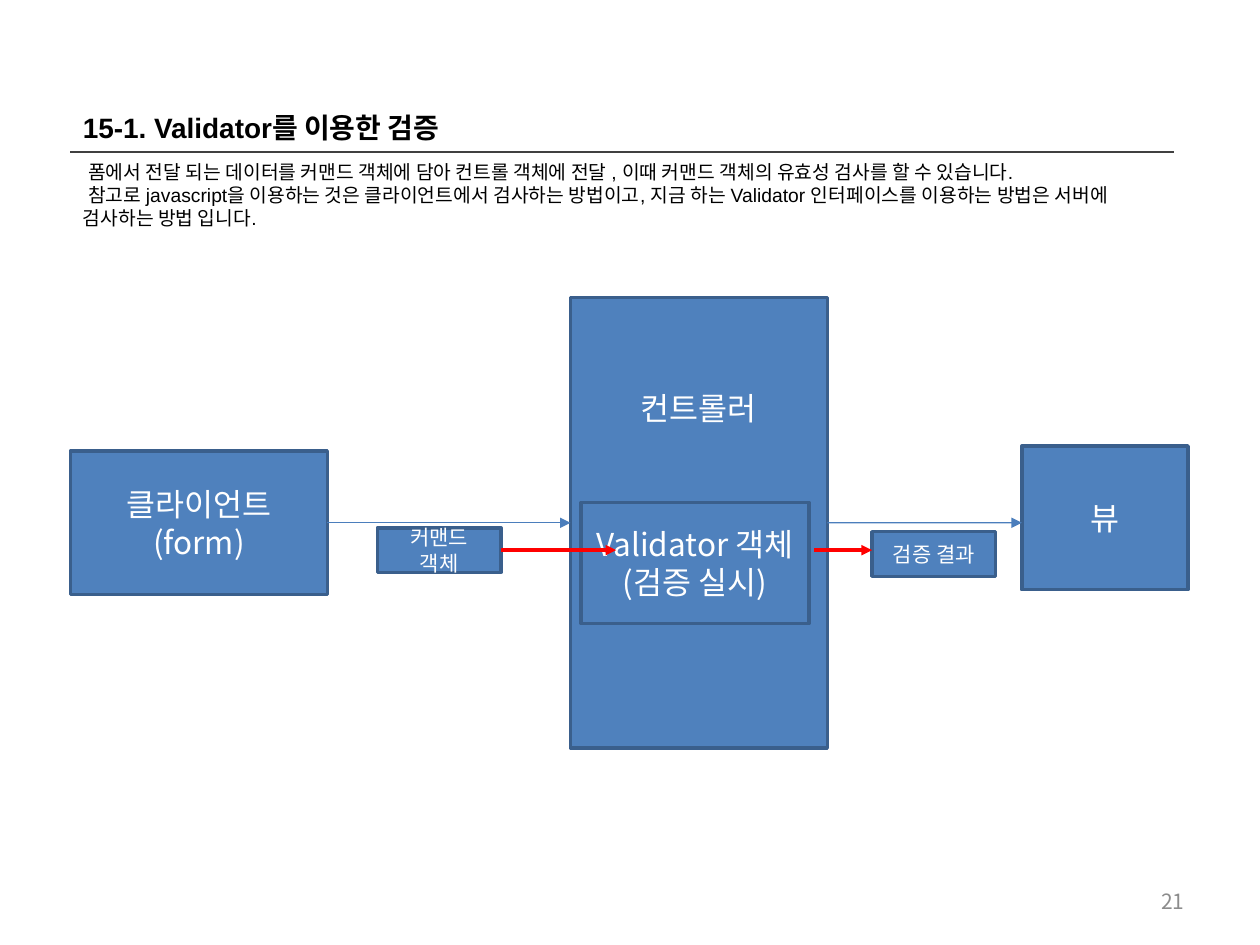
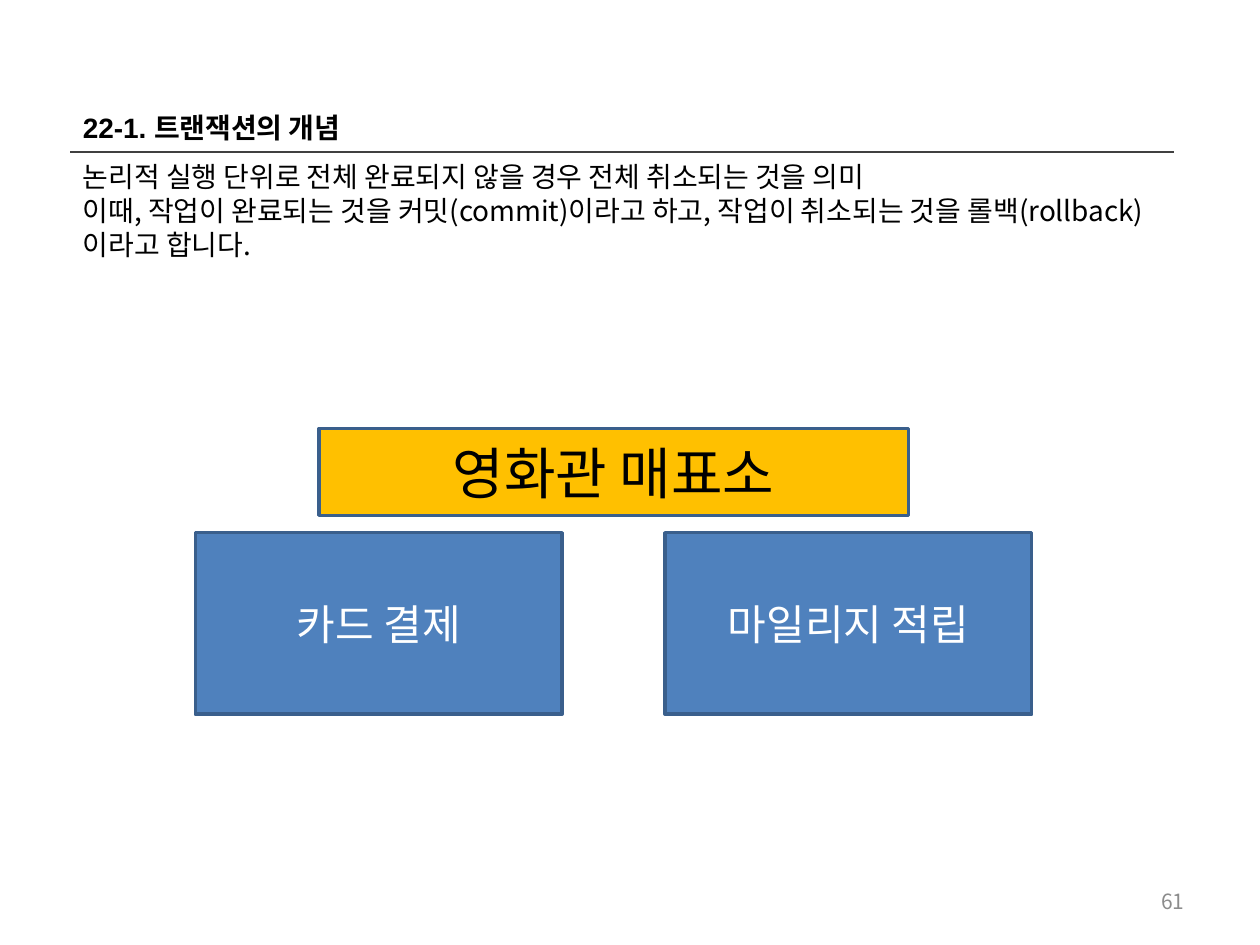
from lxml.etree import SubElement
from pptx import Presentation
from pptx.dml.color import RGBColor
from pptx.enum.shapes import MSO_CONNECTOR as CONN, MSO_SHAPE as SHAPE
from pptx.enum.text import MSO_ANCHOR as ANCHOR, PP_ALIGN as ALIGN
from pptx.oxml.ns import qn
from pptx.util import Cm, Pt

COLORS = {"text": "000000", "white": "FFFFFF", "number": "8C8C8C", "rule": "404040",
          "blue": "4F81BD", "border": "3A5F8C", "arrow": "4B7EBC",
          "red": "FF0000", "amber": "FFC000"}
KOREAN, LATIN = "Noto Sans CJK KR", "Arial"
LEFT, WIDTH = 1.42, 22.24
TOP, BOTTOM, MIDDLE_LEFT, MIDDLE_RIGHT = 0, 2, 1, 3


def rgb(name):
    """Return a palette colour."""
    return RGBColor.from_string(COLORS[name])


def write(sp, text, size, color="text", font=KOREAN, bold=False, align=ALIGN.LEFT, indent=0):
    """Fill a shape with evenly formatted paragraphs."""
    tf = sp.text_frame
    tf.word_wrap = True
    tf.text = text
    for p in tf.paragraphs:
        p.alignment = align
        if indent:
            p._p.get_or_add_pPr().set("indent", str(Cm(indent)))
        for r in p.runs:
            r.font.name, r.font.size, r.font.bold = font, Pt(size), bold
            r.font.color.rgb = rgb(color)
            SubElement(r._r.rPr, qn("a:ea")).set("typeface", KOREAN)
    return tf


def add_text(slide, box, text, size, **style):
    """Add a wrapping text box."""
    return write(slide.shapes.add_textbox(*map(Cm, box)), text, size, **style)


def add_box(slide, box, text, size, fill="blue", color="white"):
    """Add a bordered rectangle with centred text."""
    sp = slide.shapes.add_shape(SHAPE.RECTANGLE, *map(Cm, box))
    sp.shadow.inherit = False
    sp.fill.solid()
    sp.fill.fore_color.rgb = rgb(fill)
    sp.line.color.rgb = rgb("border")
    sp.line.width = Pt(2)
    write(sp, text, size, color, align=ALIGN.CENTER).vertical_anchor = ANCHOR.MIDDLE
    return sp


def add_line(slide, x1, x2, y, color, width, arrow=True):
    """Add a horizontal line, with an arrowhead at its end if wanted."""
    line = slide.shapes.add_connector(CONN.STRAIGHT, Cm(x1), Cm(y), Cm(x2), Cm(y))
    line.line.color.rgb = rgb(color)
    line.line.width = Pt(width)
    if arrow:
        SubElement(line.line._get_or_add_ln(), qn("a:tailEnd")).set("type", "triangle")
    SubElement(line._element.spPr, qn("a:effectLst"))
    return line


def add_page(prs, title, number, body, height, size, **style):
    """Add a slide with its title, rule, introduction and number."""
    slide = prs.slides.add_slide(prs.slide_layouts[6])
    add_text(slide, (LEFT, 2.11, WIDTH, 0.94), title, 16, font=LATIN, bold=True)
    tf = add_text(slide, (18.21, 17.65, 5.92, 1.02), number, 12, color="number",
                  align=ALIGN.RIGHT)
    tf.vertical_anchor = ANCHOR.MIDDLE
    add_line(slide, LEFT, LEFT + WIDTH, 3.07, "rule", 1, arrow=False)
    add_text(slide, (LEFT, 3.1, WIDTH, height), body, size, **style)
    return slide


def draw_validation_flow(slide, x, y):
    """Draw the path from client through controller to view."""
    client = add_box(slide, (x, y + 3.09, 5.18, 2.9), "클라이언트\n(form)", 18)
    controller = add_box(slide, (x + 10.08, y, 5.18, 9.08), "컨트롤러", 18)
    controller.text_frame.vertical_anchor = ANCHOR.TOP
    controller.text_frame.margin_top = Cm(1.85)
    request = add_line(slide, x + 5.18, x + 10.08, y + 4.54, "arrow", 0.75)
    request.begin_connect(client, MIDDLE_RIGHT)
    request.end_connect(controller, MIDDLE_LEFT)
    add_box(slide, (x + 10.29, y + 4.13, 4.6, 2.44), "Validator 객체\n(검증 실시)", 18)
    command = add_box(slide, (x + 6.19, y + 4.64, 2.49, 0.9), "커맨드 객체", 12)
    check = add_line(slide, x + 8.68, x + 11, y + 5.09, "red", 2)
    check.begin_connect(command, MIDDLE_RIGHT)
    add_box(slide, (x + 19.18, y + 2.99, 3.35, 2.9), "뷰", 18)
    response = add_line(slide, x + 15.26, x + 19.18, y + 4.54, "arrow", 0.75)
    response.begin_connect(controller, MIDDLE_RIGHT)
    add_box(slide, (x + 16.16, y + 4.72, 2.49, 0.9), "검증 결과", 12)
    add_line(slide, x + 14.99, x + 16.16, y + 5.09, "red", 2)


def draw_ticket_office(slide, x, y):
    """Draw the ticket office above its two steps."""
    add_box(slide, (x + 2.49, y, 11.89, 1.75), "영화관 매표소", 32, "amber", "text")
    for i, step in enumerate(("카드 결제", "마일리지 적립")):
        add_box(slide, (x + i * 9.47, y + 2.1, 7.39, 3.66), step, 24)


def main():
    """Build and save the two slides."""
    prs = Presentation()
    prs.slide_width, prs.slide_height = Cm(25.4), Cm(19.05)
    slide = add_page(
        prs, "15-1. Validator를 이용한 검증", "21",
        "폼에서 전달 되는 데이터를 커맨드 객체에 담아 컨트롤 객체에 전달 , "
        "이때 커맨드 객체의 유효성 검사를 할 수 있습니다.\n"
        "참고로 javascript을 이용하는 것은 클라이언트에서 검사하는 방법이고, "
        "지금 하는 Validator 인터페이스를 이용하는 방법은 서버에 검사하는 방법 입니다.",
        1.68, 11, font=LATIN, indent=0.11)
    draw_validation_flow(slide, LEFT, 6)
    slide = add_page(
        prs, "22-1. 트랜잭션의 개념", "61",
        "논리적 실행 단위로 전체 완료되지 않을 경우 전체 취소되는 것을 의미\n"
        "이때, 작업이 완료되는 것을 커밋(commit)이라고 하고, "
        "작업이 취소되는 것을 롤백(rollback)이라고 합니다.",
        2.31, 16)
    draw_ticket_office(slide, 3.94, 8.64)
    prs.save("out.pptx")


if __name__ == "__main__":
    main()
